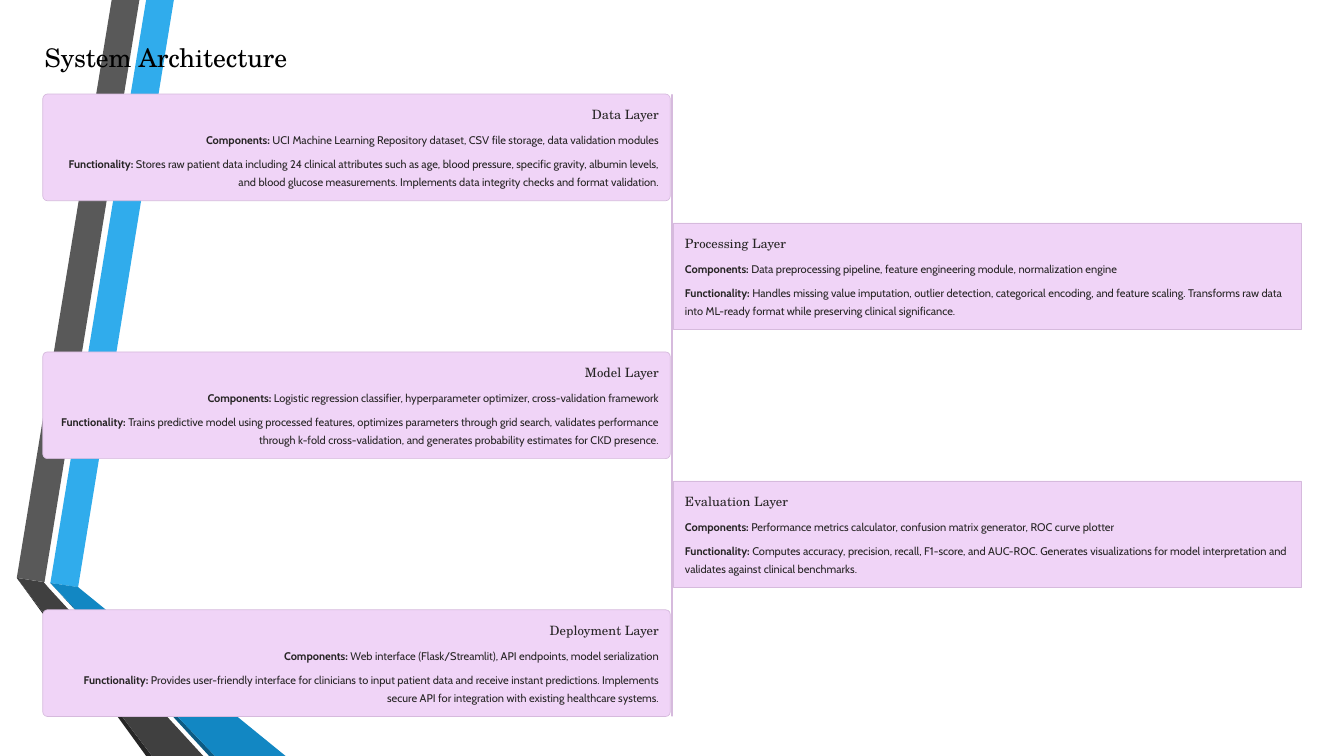
from pptx import Presentation
from pptx.dml.color import RGBColor
from pptx.enum.shapes import MSO_SHAPE
from pptx.enum.text import PP_ALIGN
from pptx.util import Inches, Pt

RECTANGLE = MSO_SHAPE.RECTANGLE
ROUNDED = MSO_SHAPE.ROUNDED_RECTANGLE
LEFT, RIGHT = PP_ALIGN.LEFT, PP_ALIGN.RIGHT

BLACK = RGBColor(0x00, 0x00, 0x00)
INK = RGBColor(0x27, 0x25, 0x25)
LILAC = RGBColor(0xF0, 0xD4, 0xF7)
MAUVE = RGBColor(0xD6, 0xBA, 0xDD)
SKY = RGBColor(0x30, 0xAC, 0xEC)
BLUE = RGBColor(0x12, 0x87, 0xC3)
NAVY = RGBColor(0x0C, 0x5A, 0x82)
GRAY = RGBColor(0x59, 0x59, 0x59)
CHARCOAL = RGBColor(0x40, 0x40, 0x40)
SOOT = RGBColor(0x26, 0x26, 0x26)

HEADING_FONT = "TeX Gyre Schola"
BODY_FONT = "Cabin"

RIBBONS = [
    (SKY, [(0.6, 6.94), (0.93, 6.99), (2.07, 0), (1.74, 0)]),
    (GRAY, [(1.66, 0), (1.33, 0), (0.2, 6.88), (0.53, 6.93)]),
    (SOOT, [(0.2, 6.88), (1.74, 9), (1.81, 9)]),
    (NAVY, [(0.6, 6.94), (2.49, 9), (2.56, 9)]),
    (BLUE, [(0.6, 6.94), (2.56, 9), (3.4, 9), (0.93, 6.99)]),
    (CHARCOAL, [(2.42, 9), (0.58, 7), (0.52, 6.93), (0.2, 6.88), (1.81, 9)]),
]

LAYERS = [
    ("Data Layer",
     "UCI Machine Learning Repository dataset, CSV file storage, data validation modules",
     "Stores raw patient data including 24 clinical attributes such as age, blood pressure, "
     "specific gravity, albumin levels, and blood glucose measurements. Implements data "
     "integrity checks and format validation."),
    ("Processing Layer",
     "Data preprocessing pipeline, feature engineering module, normalization engine",
     "Handles missing value imputation, outlier detection, categorical encoding, and feature "
     "scaling. Transforms raw data into ML-ready format while preserving clinical significance."),
    ("Model Layer",
     "Logistic regression classifier, hyperparameter optimizer, cross-validation framework",
     "Trains predictive model using processed features, optimizes parameters through grid "
     "search, validates performance through k-fold cross-validation, and generates probability "
     "estimates for CKD presence."),
    ("Evaluation Layer",
     "Performance metrics calculator, confusion matrix generator, ROC curve plotter",
     "Computes accuracy, precision, recall, F1-score, and AUC-ROC. Generates visualizations "
     "for model interpretation and validates against clinical benchmarks."),
    ("Deployment Layer",
     "Web interface (Flask/Streamlit), API endpoints, model serialization",
     "Provides user-friendly interface for clinicians to input patient data and receive instant "
     "predictions. Implements secure API for integration with existing healthcare systems."),
]
FIRST_TOP, PITCH = 1.12, 1.535
CARD_WIDTH, CARD_HEIGHT = 7.47, 1.27


class Page:
    """Holds the slide and draws its ribbons, panels, texts and layer cards."""

    def __init__(self, slide):
        self.shapes = slide.shapes

    def paint(self, shape, fill, line=None):
        shape.shadow.inherit = False
        shape.fill.solid()
        shape.fill.fore_color.rgb = fill
        if line is None:
            shape.line.fill.background()
        else:
            shape.line.color.rgb = line
            shape.line.width = Pt(0.6)

    def ribbon(self, color, points):
        corners = [(Inches(x), Inches(y)) for x, y in points]
        builder = self.shapes.build_freeform(*corners[0])
        builder.add_line_segments(corners[1:], close=True)
        self.paint(builder.convert_to_shape(), color)

    def panel(self, kind, left, top, width, height, fill, line=None, radius=0.0):
        shape = self.shapes.add_shape(
            kind, Inches(left), Inches(top), Inches(width), Inches(height))
        if kind == ROUNDED:
            shape.adjustments[0] = radius
        self.paint(shape, fill, line)

    def text(self, left, top, width, height, text, size, spacing,
             font=BODY_FONT, color=INK, align=LEFT, label=None):
        box = self.shapes.add_textbox(
            Inches(left), Inches(top), Inches(width), Inches(height))
        frame = box.text_frame
        frame.word_wrap = True
        frame.margin_left = frame.margin_right = 0
        frame.margin_top = frame.margin_bottom = 0
        para = frame.paragraphs[0]
        para.alignment = align
        para.line_spacing = Pt(spacing)
        para.font.name = font
        para.font.size = Pt(size)
        para.font.color.rgb = color
        if label:
            span = para.add_run()
            span.text = label + ": "
            span.font.bold = True
        para.add_run().text = text

    def card(self, index, heading, components, functionality):
        on_left = index % 2 == 0
        left = 0.51 if on_left else 8.02
        top = FIRST_TOP + index * PITCH
        align = RIGHT if on_left else LEFT
        self.panel(ROUNDED if on_left else RECTANGLE, left, top,
                   CARD_WIDTH, CARD_HEIGHT, LILAC, MAUVE, 0.044)
        inner = left + 0.135
        self.text(inner, top + 0.14, 7.2, 0.19, heading, 11, 14,
                  font=HEADING_FONT, align=align)
        self.text(inner, top + 0.42, 7.2, 0.21, components, 9.5, 15,
                  align=align, label="Components")
        self.text(inner, top + 0.71, 7.2, 0.42, functionality, 9.5, 15,
                  align=align, label="Functionality")


def main():
    deck = Presentation()
    deck.slide_width, deck.slide_height = Inches(16), Inches(9)
    page = Page(deck.slides.add_slide(deck.slide_layouts[6]))
    for color, points in RIBBONS:
        page.ribbon(color, points)
    page.text(0.53, 0.47, 3.12, 0.39, "System Architecture", 22, 28,
              font=HEADING_FONT, color=BLACK)
    page.panel(ROUNDED, 7.99, FIRST_TOP, 0.02, 7.41, MAUVE, radius=0.5)
    for index, layer in enumerate(LAYERS):
        page.card(index, *layer)
    deck.save("out.pptx")


if __name__ == "__main__":
    main()
